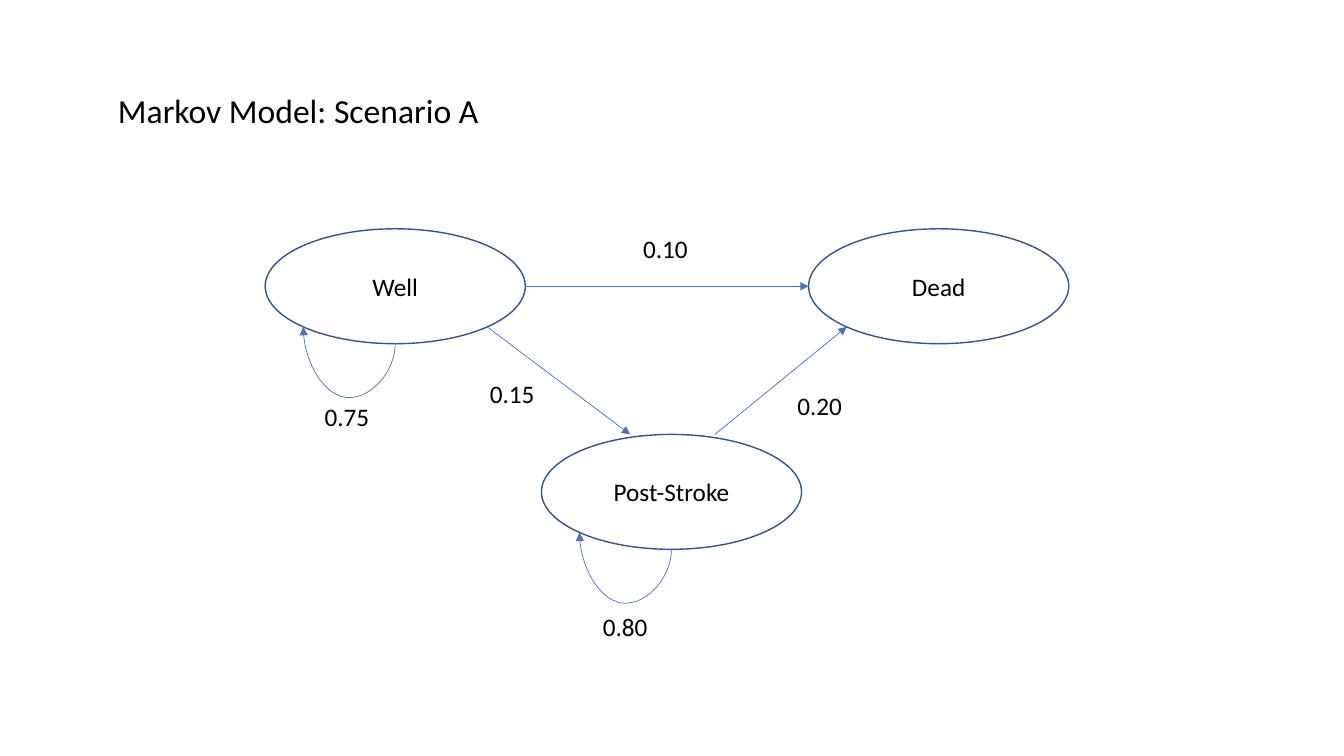
import math

import lxml.etree
import pptx
import pptx.dml.color
import pptx.enum.shapes
import pptx.enum.text
import pptx.oxml
import pptx.oxml.ns
import pptx.util

Inches = pptx.util.Inches
Pt = pptx.util.Pt
qn = pptx.oxml.ns.qn
Align = pptx.enum.text.PP_ALIGN
Anchor = pptx.enum.text.MSO_ANCHOR
Fit = pptx.enum.text.MSO_AUTO_SIZE
Link = pptx.enum.shapes.MSO_CONNECTOR

WIDE, HIGH = 2.58, 1.14
# Offset from a state's centre to its diagonal edge points
SIDE = WIDE / 2 * math.cos(math.pi / 4)
DROP = HIGH / 2 * math.sin(math.pi / 4)


def color(code):
    """Turn a hex string into a colour."""
    return pptx.dml.color.RGBColor.from_string(code)


class Board:
    """Style and current slide of the diagram."""

    font, ink = "Calibri", "000000"
    edge, arc = "325491", "4472C4"

    def __init__(self, slide):
        """Keep the slide to draw on."""
        self.slide = slide

    def letter(self, shape, text, size, align=Align.LEFT, anchor=Anchor.TOP):
        """Put styled text into a shape."""
        frame = shape.text_frame
        frame.text = text
        frame.vertical_anchor = anchor
        para = frame.paragraphs[0]
        para.alignment = align
        font = para.runs[0].font
        font.name, font.size = self.font, Pt(size)
        font.color.rgb = color(self.ink)
        return frame

    def title(self, text, x, y, wide, high):
        """Place and fill the title."""
        shape = self.slide.shapes.title
        shape.left, shape.top = Inches(x), Inches(y)
        shape.width, shape.height = Inches(wide), Inches(high)
        self.letter(shape, text, 24).auto_size = Fit.NONE

    def state(self, name, x, y):
        """Draw a state as an ellipse centred at x, y."""
        shape = self.slide.shapes.add_shape(
            pptx.enum.shapes.MSO_SHAPE.OVAL,
            Inches(x - WIDE / 2), Inches(y - HIGH / 2),
            Inches(WIDE), Inches(HIGH))
        shape.shadow.inherit = False
        shape.fill.background()
        shape.line.color.rgb = color(self.edge)
        shape.line.width = Pt(1)
        self.letter(shape, name, 18, Align.CENTER, Anchor.MIDDLE)

    def label(self, text, x, y):
        """Add a transition chance with its corner at x, y."""
        box = self.slide.shapes.add_textbox(
            Inches(x), Inches(y), Inches(0.65), Inches(0.4))
        frame = self.letter(box, text, 18)
        frame.word_wrap = False
        frame.auto_size = Fit.SHAPE_TO_FIT_TEXT

    def arrow(self, start, end, kind=Link.STRAIGHT):
        """Draw an arrow between two points."""
        link = self.slide.shapes.add_connector(
            kind, *(Inches(n) for n in (*start, *end)))
        link.line.color.rgb = color(self.arc)
        link.line.width = Pt(0.5)
        props = link._element.spPr
        lxml.etree.SubElement(
            props.find(qn("a:ln")), qn("a:tailEnd"), type="triangle")
        lxml.etree.SubElement(props, qn("a:effectLst"))
        return link

    def loop(self, x, y):
        """Curve an arrow from a state's bottom to its lower left."""
        rise = HIGH / 2 - DROP
        mid_x, mid_y = x - SIDE / 2, y + HIGH / 2 - rise / 2
        # Laid out upright, then turned by a quarter
        link = self.arrow((mid_x + rise / 2, mid_y - SIDE / 2),
                          (mid_x - rise / 2, mid_y + SIDE / 2), Link.CURVE)
        props = link._element.spPr
        props.find(qn("a:xfrm")).set("rot", "5400000")
        geom = props.find(qn("a:prstGeom"))
        guides = geom.find(qn("a:avLst"))
        if guides is None:
            guides = lxml.etree.SubElement(geom, qn("a:avLst"))
        lxml.etree.SubElement(
            guides, qn("a:gd"), name="adj1", fmla="val -320100")


deck = pptx.Presentation()
deck.slide_width, deck.slide_height = Inches(13.33), Inches(7.5)
board = Board(deck.slides.add_slide(deck.slide_layouts[5]))

well, stroke, dead = (3.92, 2.84), (6.66, 4.88), (9.31, 2.84)
board.title("Markov Model: Scenario A", 1.07, 0.84, 4.54, 0.5)
for name, spot in (("Well", well), ("Post-Stroke", stroke), ("Dead", dead)):
    board.state(name, *spot)

crest = stroke[1] - HIGH / 2
board.arrow((well[0] + SIDE, well[1] + DROP), (6.25, crest))
board.arrow((7.09, crest), (dead[0] - SIDE, dead[1] + DROP))
board.arrow((well[0] + WIDE / 2, well[1]), (dead[0] - WIDE / 2, dead[1]))
for spot in (well, stroke):
    board.loop(*spot)

for chance, x, y in (("0.75", 3.12, 3.93), ("0.15", 4.76, 3.7),
                     ("0.10", 6.28, 2.27), ("0.20", 7.81, 3.82),
                     ("0.80", 5.88, 6.02)):
    board.label(chance, x, y)

deck.save("out.pptx")
